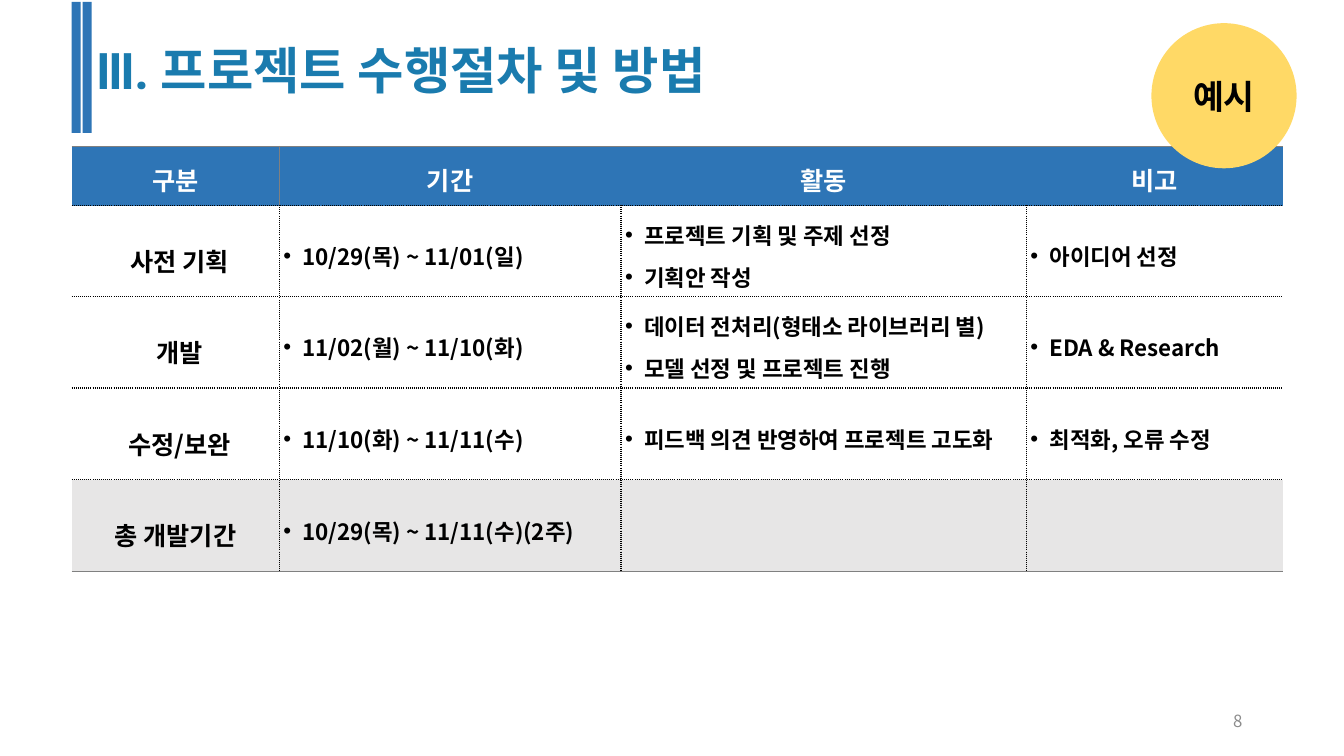
from lxml import etree
from pptx import Presentation
from pptx.dml.color import RGBColor
from pptx.enum.shapes import MSO_SHAPE
from pptx.enum.text import MSO_ANCHOR, PP_ALIGN
from pptx.oxml.ns import qn
from pptx.util import Inches, Pt

RECTANGLE, OVAL = MSO_SHAPE.RECTANGLE, MSO_SHAPE.OVAL
MIDDLE, TOP = MSO_ANCHOR.MIDDLE, MSO_ANCHOR.TOP
LEFT, CENTER, RIGHT = PP_ALIGN.LEFT, PP_ALIGN.CENTER, PP_ALIGN.RIGHT

BLUE = RGBColor(0x2E, 0x75, 0xB6)
TITLE_BLUE = RGBColor(0x1A, 0x7B, 0xAE)
YELLOW = RGBColor(0xFF, 0xD9, 0x66)
LIGHT_GRAY = RGBColor(0xE7, 0xE6, 0xE6)
GRAY = RGBColor(0x80, 0x80, 0x80)
NUMBER_GRAY = RGBColor(0x8C, 0x8C, 0x8C)
BLACK = RGBColor(0, 0, 0)
WHITE = RGBColor(0xFF, 0xFF, 0xFF)

BODY_FONT = "Noto Sans CJK KR"
TITLE_FONT = "Roboto Condensed"

# Border styles: colour, width in points, dash
SOLID = (GRAY, 0.5, "solid")
DOTTED = (BLACK, 1, "sysDot")

COLUMN_WIDTHS = [2.06, 3.39, 4.02, 2.55]
ROW_HEIGHTS = [0.59, 0.9, 0.91, 0.91, 0.91]
SCHEDULE = [
    ["구분", "기간", "활동", "비고"],
    ["사전 기획", "10/29(목) ~ 11/01(일)", "프로젝트 기획 및 주제 선정\n기획안 작성", "아이디어 선정"],
    ["개발", "11/02(월) ~ 11/10(화)",
     "데이터 전처리(형태소 라이브러리 별)\n모델 선정 및 프로젝트 진행", "EDA & Research"],
    ["수정/보완", "11/10(화) ~ 11/11(수)", "피드백 의견 반영하여 프로젝트 고도화", "최적화, 오류 수정"],
    ["총 개발기간", "10/29(목) ~ 11/11(수)(2주)", "", ""],
]
LAST_ROW = len(SCHEDULE) - 1


def style_paragraph(paragraph, size, color, bold=True, align=LEFT, name=BODY_FONT):
    paragraph.alignment = align
    font = paragraph.font
    font.size, font.bold, font.name = Pt(size), bold, name
    font.color.rgb = color
    # Korean glyphs take the East Asian typeface
    defaults = paragraph._p.pPr.find(qn("a:defRPr"))
    etree.SubElement(defaults, qn("a:ea")).set("typeface", name)


def add_bullet(paragraph):
    properties = paragraph._p.get_or_add_pPr()
    properties.set("marL", str(Inches(0.19)))
    properties.set("indent", str(Inches(-0.19)))
    etree.SubElement(properties, qn("a:buFont")).set("typeface", "Arial")
    etree.SubElement(properties, qn("a:buChar")).set("char", "•")


def add_block(slide, kind, left, top, width, height, color):
    shape = slide.shapes.add_shape(
        kind, Inches(left), Inches(top), Inches(width), Inches(height))
    shape.shadow.inherit = False
    shape.fill.solid()
    shape.fill.fore_color.rgb = color
    shape.line.fill.background()
    return shape


def add_label(slide, text, left, top, width, height, anchor, **style):
    box = slide.shapes.add_textbox(
        Inches(left), Inches(top), Inches(width), Inches(height))
    frame = box.text_frame
    frame.word_wrap = True
    frame.vertical_anchor = anchor
    frame.text = text
    style_paragraph(frame.paragraphs[0], **style)


def set_border(cell, side, border):
    line = etree.SubElement(cell._tc.get_or_add_tcPr(), qn("a:ln" + side))
    if border is None:
        etree.SubElement(line, qn("a:noFill"))
        return
    color, width, dash = border
    line.set("w", str(Pt(width)))
    fill = etree.SubElement(line, qn("a:solidFill"))
    etree.SubElement(fill, qn("a:srgbClr")).set("val", str(color))
    etree.SubElement(line, qn("a:prstDash")).set("val", dash)


def vertical_border(row, edge):
    """Border at a column edge, where 0 is the table's left side."""
    if edge in (0, len(COLUMN_WIDTHS)):
        return None
    if row == 0:
        return SOLID if edge == 1 else None
    return DOTTED


def fill_cell(cell, row, column, text):
    set_border(cell, "L", vertical_border(row, column))
    set_border(cell, "R", vertical_border(row, column + 1))
    set_border(cell, "T", SOLID if row == 0 else DOTTED)
    set_border(cell, "B", SOLID if row == LAST_ROW else DOTTED)

    if row in (0, LAST_ROW):
        cell.fill.solid()
        cell.fill.fore_color.rgb = BLUE if row == 0 else LIGHT_GRAY
    else:
        cell.fill.background()

    header, row_title = row == 0, column == 0
    cell.vertical_anchor = MIDDLE
    cell.margin_top = cell.margin_right = cell.margin_bottom = 0
    if header or (row_title and row == LAST_ROW):
        cell.margin_left = 0
    else:
        cell.margin_left = Inches(0.08 if row_title else 0.04)

    if not text:
        return
    cell.text_frame.text = text
    for paragraph in cell.text_frame.paragraphs:
        if header:
            paragraph.line_spacing = 1.2
            style_paragraph(paragraph, 18, WHITE, align=CENTER)
        elif row_title:
            paragraph.line_spacing = 1.5
            style_paragraph(paragraph, 18, BLACK, align=CENTER)
        else:
            paragraph.line_spacing = 1.3
            add_bullet(paragraph)
            style_paragraph(paragraph, 16, BLACK)


def add_schedule(slide):
    table = slide.shapes.add_table(
        len(ROW_HEIGHTS), len(COLUMN_WIDTHS), Inches(0.71), Inches(1.45),
        Inches(sum(COLUMN_WIDTHS)), Inches(sum(ROW_HEIGHTS))).table
    table.first_row = table.horz_banding = False
    for column, width in zip(table.columns, COLUMN_WIDTHS):
        column.width = Inches(width)
    for row, height in zip(table.rows, ROW_HEIGHTS):
        row.height = Inches(height)
    for row, texts in enumerate(SCHEDULE):
        for column, text in enumerate(texts):
            fill_cell(table.cell(row, column), row, column, text)


def main():
    presentation = Presentation()
    presentation.slide_width = Inches(13.33)
    presentation.slide_height = Inches(7.5)
    slide = presentation.slides.add_slide(presentation.slide_layouts[6])

    # Twin bars beside the title
    for left in (0.71, 0.82):
        add_block(slide, RECTANGLE, left, 0.02, 0.09, 1.3, BLUE)

    add_schedule(slide)

    # Title and page number
    add_label(slide, "Ⅲ. 프로젝트 수행절차 및 방법", 0.86, 0.34, 7.44, 0.71, TOP,
              size=36, color=TITLE_BLUE, name=TITLE_FONT)
    add_label(slide, "8", 9.42, 6.95, 3, 0.4, MIDDLE,
              size=12, color=NUMBER_GRAY, bold=False, align=RIGHT)

    # Example badge
    badge = add_block(slide, OVAL, 11.42, 0.23, 1.44, 1.44, YELLOW)
    badge.text_frame.text = "예시"
    badge.text_frame.vertical_anchor = MIDDLE
    style_paragraph(badge.text_frame.paragraphs[0], 24, BLACK, align=CENTER)

    presentation.save("out.pptx")


if __name__ == "__main__":
    main()
